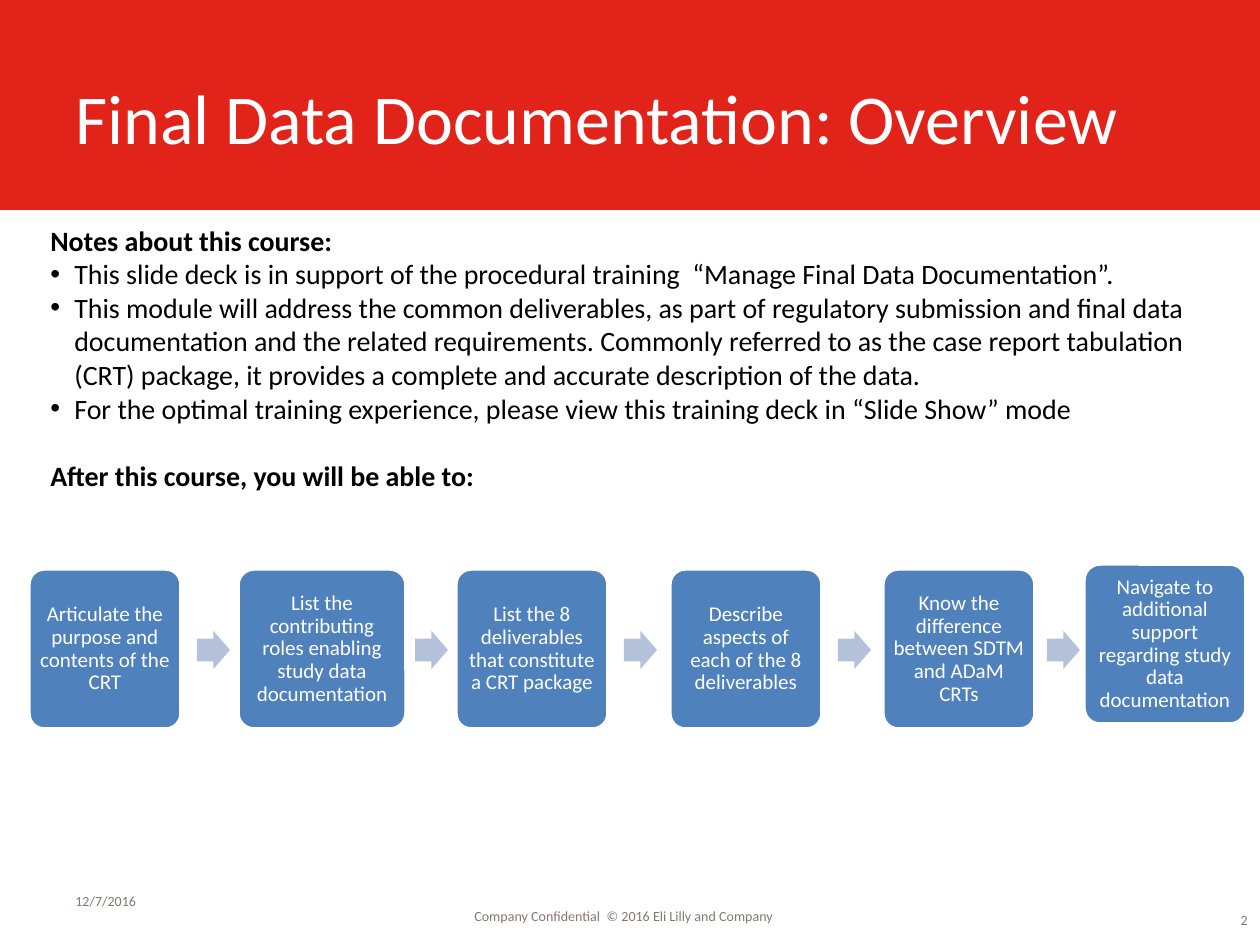
from lxml import etree
from pptx import Presentation
from pptx.dml.color import RGBColor
from pptx.enum.shapes import MSO_SHAPE
from pptx.enum.text import MSO_ANCHOR, PP_ALIGN
from pptx.oxml.ns import qn
from pptx.util import Emu, Pt

RECTANGLE, ROUNDED, ARROW = MSO_SHAPE.RECTANGLE, MSO_SHAPE.ROUNDED_RECTANGLE, MSO_SHAPE.RIGHT_ARROW
TOP, MIDDLE = MSO_ANCHOR.TOP, MSO_ANCHOR.MIDDLE
LEFT, CENTER, RIGHT = PP_ALIGN.LEFT, PP_ALIGN.CENTER, PP_ALIGN.RIGHT

RED = RGBColor(0xE2, 0x23, 0x1A)
BLUE = RGBColor(0x4F, 0x81, 0xBD)
PALE_BLUE = RGBColor(0xB3, 0xC1, 0xDB)
TAUPE = RGBColor(0x86, 0x78, 0x6F)
WHITE = RGBColor(0xFF, 0xFF, 0xFF)
BLACK = RGBColor(0x00, 0x00, 0x00)
FONT = "Calibri"

# Content
TITLE = "Final Data Documentation: Overview"
# (text, is a bullet)
NOTES = [
    ("Notes about this course:", False),
    ("This slide deck is in support of the procedural training  “Manage Final Data Documentation”.", True),
    ("This module will address the common deliverables, as part of regulatory submission and final data "
     "documentation and the related requirements. Commonly referred to as the case report tabulation (CRT) "
     "package, it provides a complete and accurate description of the data.", True),
    ("For the optimal training experience, please view this training deck in “Slide Show” mode", True),
    ("After this course, you will be able to:", False),
]
# (text, left, top, width)
STEPS = [
    ("Articulate the purpose and contents of the CRT", 29, 569, 152),
    ("List the contributing roles enabling study data documentation", 238, 569, 168),
    ("List the 8 deliverables that constitute a CRT package", 456, 569, 152),
    ("Describe aspects of each of the 8 deliverables", 670, 569, 152),
    ("Know the difference between SDTM and ADaM CRTs", 883, 569, 152),
    ("Navigate to additional support regarding study data documentation", 1084, 564, 162),
]
ARROW_LEFTS = [197, 415, 624, 838, 1047]
# (text, box, alignment)
FOOTERS = [
    ("12/7/2016", (63, 876, 294, 50), LEFT),
    ("Company Confidential  © 2016 Eli Lilly and Company", (300, 891, 648, 50), CENTER),
    ("2", (966, 895, 294, 50), RIGHT),
]

# Measures
SCALE = 914400 / 126
STEP_HEIGHT, STEP_INSET = 160, 6
ARROW_TOP, ARROW_WIDTH, ARROW_HEIGHT = 631, 33, 38
BULLET_INDENT = 24


def px(length):
    return Emu(round(length * SCALE))


def style(paragraph, size, color, alignment=LEFT, bold=False):
    paragraph.alignment = alignment
    font = paragraph.font
    font.name, font.size, font.bold = FONT, Pt(size), bold
    font.color.rgb = color


def add_text(slide, box, text, size, color, alignment=LEFT):
    text_frame = slide.shapes.add_textbox(*map(px, box)).text_frame
    text_frame.word_wrap = True
    text_frame.vertical_anchor = MIDDLE
    text_frame.text = text
    style(text_frame.paragraphs[0], size, color, alignment)


def add_shape(slide, kind, box, fill):
    shape = slide.shapes.add_shape(kind, *map(px, box))
    shape.shadow.inherit = False
    shape.fill.solid()
    shape.fill.fore_color.rgb = fill
    shape.line.fill.background()
    return shape


def add_bullet(paragraph):
    properties = paragraph._p.get_or_add_pPr()
    properties.set("marL", str(px(BULLET_INDENT)))
    properties.set("indent", str(-px(BULLET_INDENT)))
    etree.SubElement(properties, qn("a:buFont")).set("typeface", "Arial")
    etree.SubElement(properties, qn("a:buChar")).set("char", "•")


def add_notes(slide):
    text_frame = slide.shapes.add_textbox(*map(px, (38, 217, 1197, 318))).text_frame
    text_frame.word_wrap = True
    text_frame.vertical_anchor = TOP
    text_frame.text = "\n".join(text for text, _ in NOTES)
    for paragraph, (_, bulleted) in zip(text_frame.paragraphs, NOTES):
        if bulleted:
            add_bullet(paragraph)
        style(paragraph, 16, BLACK, bold=not bulleted)
    text_frame.paragraphs[-1].space_before = Pt(19.5)


def add_step(slide, text, left, top, width):
    step = add_shape(slide, ROUNDED, (left, top, width, STEP_HEIGHT), BLUE)
    step.adjustments[0] = 0.1
    step.line.color.rgb = WHITE
    step.line.width = Pt(2)
    text_frame = step.text_frame
    text_frame.word_wrap = True
    text_frame.vertical_anchor = MIDDLE
    text_frame.margin_left = text_frame.margin_right = px(STEP_INSET)
    text_frame.margin_top = text_frame.margin_bottom = px(STEP_INSET)
    text_frame.text = text
    paragraph = text_frame.paragraphs[0]
    paragraph.line_spacing = 0.9
    style(paragraph, 12, WHITE, CENTER)


def main():
    presentation = Presentation()
    presentation.slide_width, presentation.slide_height = px(1260), px(945)
    slide = presentation.slides.add_slide(presentation.slide_layouts[6])

    # Banner and title
    add_shape(slide, RECTANGLE, (0, 0, 1260, 210), RED)
    add_text(slide, (63, 38, 1134, 157), TITLE, 40, WHITE)

    add_notes(slide)

    # Learning steps with arrows between them
    for step in STEPS:
        add_step(slide, *step)
    for left in ARROW_LEFTS:
        arrow = add_shape(slide, ARROW, (left, ARROW_TOP, ARROW_WIDTH, ARROW_HEIGHT), PALE_BLUE)
        arrow.adjustments[0] = 0.6

    # Footer
    for text, box, alignment in FOOTERS:
        add_text(slide, box, text, 8, TAUPE, alignment)

    presentation.save("out.pptx")


if __name__ == "__main__":
    main()
